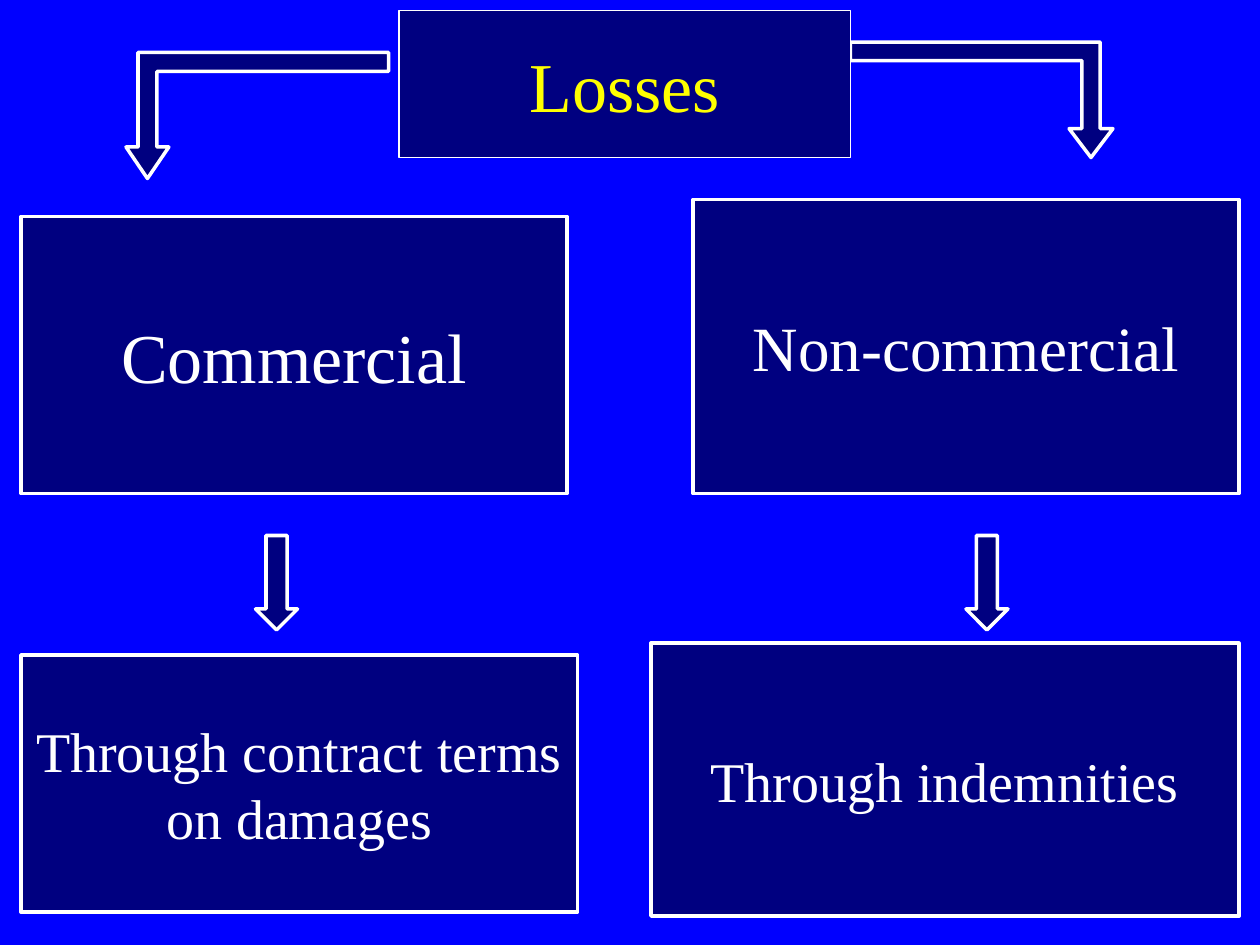
from dataclasses import dataclass
from pptx import Presentation
from pptx.dml.color import RGBColor
from pptx.enum.shapes import MSO_SHAPE
from pptx.enum.text import MSO_ANCHOR, PP_ALIGN
from pptx.util import Pt

RECT = MSO_SHAPE.RECTANGLE
BENT = MSO_SHAPE.BENT_UP_ARROW
DOWN = MSO_SHAPE.DOWN_ARROW
MIDDLE = MSO_ANCHOR.MIDDLE
CENTER = PP_ALIGN.CENTER


@dataclass(frozen=True)
class Theme:
    back: RGBColor = RGBColor(0x00, 0x00, 0xFF)
    navy: RGBColor = RGBColor(0x00, 0x00, 0x80)
    white: RGBColor = RGBColor(0xFF, 0xFF, 0xFF)
    yellow: RGBColor = RGBColor(0xFF, 0xFF, 0x00)
    font: str = "Times New Roman"
    large: int = 40
    medium: int = 36
    small: int = 32
    thin: float = 0.75
    thick: float = 2


class Deck:
    def __init__(self, theme):
        self.theme = theme
        self.file = Presentation()
        self.file.slide_width = Pt(720)
        self.file.slide_height = Pt(540)
        self.slide = self.file.slides.add_slide(self.file.slide_layouts[6])
        fill = self.slide.background.fill
        fill.solid()
        fill.fore_color.rgb = theme.back

    def shape(self, kind, area, width):
        shape = self.slide.shapes.add_shape(kind, *map(Pt, area))
        shape.shadow.inherit = False
        shape.fill.solid()
        shape.fill.fore_color.rgb = self.theme.navy
        shape.line.color.rgb = self.theme.white
        shape.line.width = Pt(width)
        return shape

    def box(self, text, area, size, color=None, width=None):
        shape = self.shape(RECT, area, width or self.theme.thick)
        frame = shape.text_frame
        frame.word_wrap = True
        frame.vertical_anchor = MIDDLE
        para = frame.paragraphs[0]
        para.text = text
        para.alignment = CENTER
        para.font.name = self.theme.font
        para.font.size = Pt(size)
        para.font.color.rgb = color or self.theme.white

    def arrow(self, left):
        self.shape(DOWN, (left, 306, 24, 54), self.theme.thick)

    def branch(self, area, ratios, flip=False):
        shape = self.shape(BENT, area, self.theme.thick)
        shape.rotation = 180
        for index, ratio in enumerate(ratios):
            shape.adjustments[index] = ratio
        if flip:
            shape.element.spPr.get_or_add_xfrm().set("flipH", "1")


def main():
    theme = Theme()
    deck = Deck(theme)
    deck.branch((486, 24, 150, 66), (0.16, 0.19, 0.25), flip=True)
    deck.box("Losses", (228, 6, 258, 84), theme.large, theme.yellow, theme.thin)
    deck.branch((72, 30, 150, 72), (0.15, 0.17, 0.25))
    deck.box("Commercial", (12, 123.75, 312, 158.25), theme.large)
    deck.box("Through contract terms on damages", (12, 374.25, 318, 147), theme.small)
    deck.box("Non-commercial", (396, 114, 312, 168), theme.medium)
    deck.box("Through indemnities", (372, 367.5, 336, 156), theme.small)
    for left in (146, 552):
        deck.arrow(left)
    deck.file.save("out.pptx")


if __name__ == "__main__":
    main()
